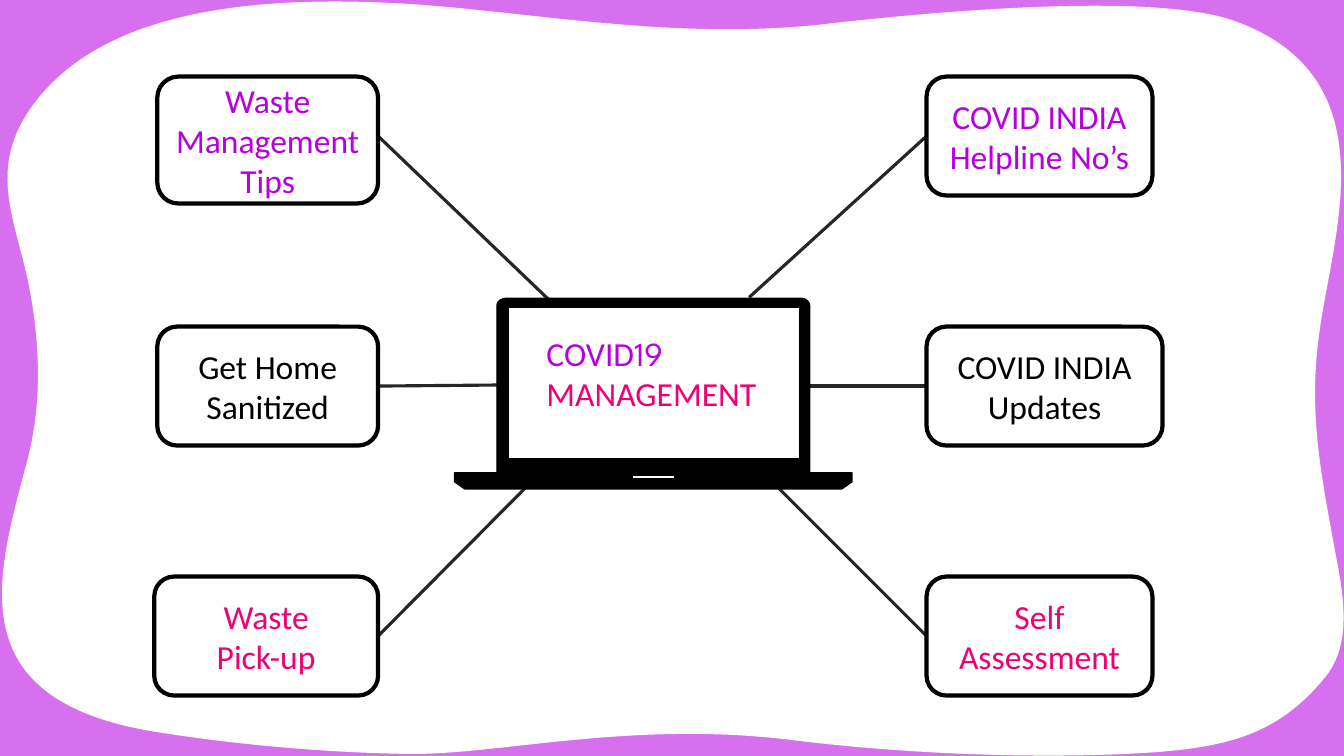
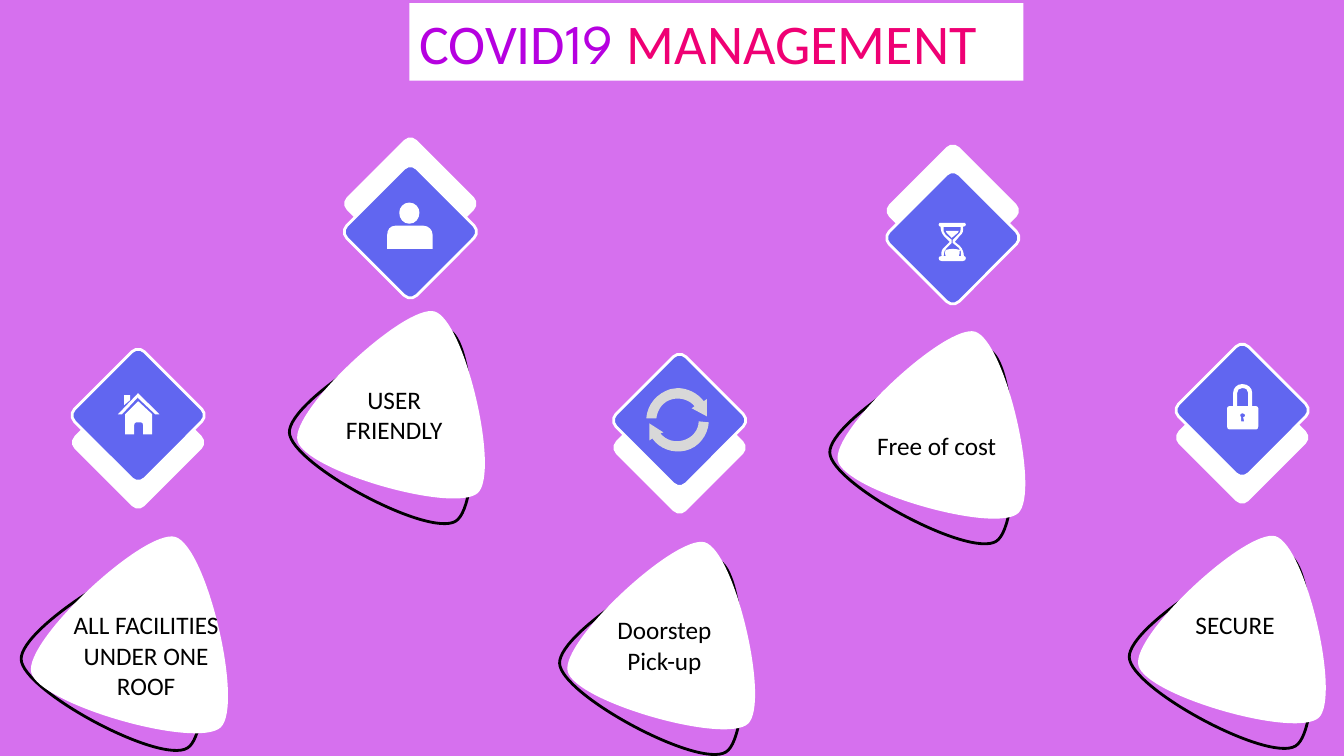
from dataclasses import dataclass
from lxml import etree
from pptx import Presentation
from pptx.dml.color import RGBColor
from pptx.enum import shapes, text
from pptx.oxml import ns
from pptx.util import Inches, Pt


@dataclass
class Theme:
    back: str = "D670EE"
    white: str = "FFFFFF"
    black: str = "000000"
    wire: str = "262626"
    violet: str = "B600E0"
    pink: str = "EF0074"
    blue: str = "6166F0"
    grey: str = "D8D8D8"
    body: str = "Calibri"
    digit: str = "League Spartan"
    head: int = 40
    node: int = 24
    note: int = 18


T = Theme()
LEFT, MID = text.PP_ALIGN.LEFT, text.PP_ALIGN.CENTER
TOP, CORE = text.MSO_ANCHOR.TOP, text.MSO_ANCHOR.MIDDLE
BOX = shapes.MSO_SHAPE.ROUNDED_RECTANGLE


def write(shape, lines, size, align, anchor, pad=0.1):
    frame = shape.text_frame
    look = dict(word_wrap=True, auto_size=text.MSO_AUTO_SIZE.NONE, vertical_anchor=anchor,
                margin_left=Inches(pad), margin_right=Inches(pad),
                margin_top=Inches(pad / 2), margin_bottom=Inches(pad / 2))
    for key, val in look.items():
        setattr(frame, key, val)
    for i, line in enumerate(lines):
        para = frame.add_paragraph() if i else frame.paragraphs[0]
        para.alignment = align
        for words, tint, face in line:
            run = para.add_run()
            run.text = words
            for key, val in dict(name=face, size=Pt(size), bold=False).items():
                setattr(run.font, key, val)
            run.font.color.rgb = RGBColor.from_string(tint)


def draw(slide, form, fill=None, edge=None, width=1, x=0, y=0, grow=1, turn=0):
    if isinstance(form, list):
        loops = [[[(Inches(x + a * grow), Inches(y + b * grow))
                   for a, b in zip(seg[::2], seg[1::2])] for seg in loop] for loop in form]
        pen = slide.shapes.build_freeform(*loops[0][0][0], scale=1.0)
        for i, loop in enumerate(loops):
            if i:
                pen.move_to(*loop[0][0])
            pen.add_line_segments([seg[-1] for seg in loop[1:]], close=True)
        shape = pen.convert_to_shape()
        segs = [seg for loop in loops for seg in loop[1:]]
        for step, seg in zip(list(shape.element.iter(ns.qn("a:lnTo"))), segs):
            if len(seg) == 3:
                bend = etree.Element(ns.qn("a:cubicBezTo"))
                for a, b in seg:
                    etree.SubElement(bend, ns.qn("a:pt"), x=str(a - shape.left), y=str(b - shape.top))
                step.getparent().replace(step, bend)
    else:
        shape = slide.shapes.add_shape(BOX, *map(Inches, form))
        shape.rotation = turn
    shape.shadow.inherit = False
    for paint, tint in ((shape.fill, fill), (shape.line.fill, edge)):
        if tint:
            paint.solid()
            paint.fore_color.rgb = RGBColor.from_string(tint)
        else:
            paint.background()
    if edge:
        shape.line.width = Pt(width)
    return shape


FRAME = [[
    (7.84, 7.34), (9.29, 7.52, 10.7, 7.52, 11.49, 7.46), (12.25, 7.4, 12.71, 7.25, 13.15, 6.71),
    (13.45, 6.33, 13.29, 5.76, 13.22, 5.35), (13.08, 4.6, 12.98, 4.01, 13.09, 3.27),
    (13.22, 2.32, 13.79, 0.77, 12.25, 0.21), (11.4, -0.1, 9.04, 0.14, 8.17, 0.24),
    (6.99, 0.37, 5.89, 0.22, 4.75, 0.1), (2.73, -0.12, 0.99, 0.04, 0.28, 1.11),
    (-0.11, 1.7, 0.15, 2.18, 0.28, 2.8), (0.41, 3.44, 0.41, 4.04, 0.27, 4.57),
    (-0.03, 5.71, -0.43, 6.94, 1.54, 7.26), (2.35, 7.39, 3.26, 7.47, 4.09, 7.48),
    (4.99, 7.48, 6.27, 7.15, 7.84, 7.34)]]
LAPTOP = [
    [(6.27, 4.72), (6.27, 4.75), (6.69, 4.75), (6.69, 4.72)],
    [(5.04, 3.05), (5.04, 4.55), (7.93, 4.55), (7.93, 3.05)],
    [(5.02, 2.96), (7.95, 2.96), (7.99, 2.96, 8.03, 2.99, 8.03, 3.03), (8.03, 4.69),
     (8.45, 4.69), (8.45, 4.78), (8.35, 4.85), (4.61, 4.85), (4.51, 4.78), (4.51, 4.69),
     (4.93, 4.69), (4.93, 3.03), (4.93, 2.99, 4.97, 2.96, 5.02, 2.96)]]
GLASS = [
    [(9.45, 2.47), (9.47, 2.47, 9.49, 2.47, 9.52, 2.48), (9.52, 2.5, 9.52, 2.52, 9.51, 2.54),
     (9.38, 2.54), (9.37, 2.52, 9.37, 2.5, 9.38, 2.48), (9.41, 2.47, 9.43, 2.47, 9.45, 2.47)],
    [(9.38, 2.29), (9.51, 2.29), (9.51, 2.3, 9.5, 2.3, 9.5, 2.31), (9.44, 2.36), (9.39, 2.31),
     (9.39, 2.3, 9.38, 2.3, 9.38, 2.29)],
    [(9.36, 2.25), (9.35, 2.28, 9.36, 2.31, 9.38, 2.33), (9.44, 2.38), (9.44, 2.41),
     (9.39, 2.46), (9.36, 2.49, 9.36, 2.52, 9.36, 2.54), (9.53, 2.54),
     (9.54, 2.51, 9.53, 2.48, 9.51, 2.46), (9.45, 2.41), (9.45, 2.38), (9.5, 2.33),
     (9.53, 2.31, 9.53, 2.28, 9.53, 2.25)],
    [(9.34, 2.21), (9.55, 2.21), (9.57, 2.21, 9.58, 2.21, 9.58, 2.23),
     (9.58, 2.24, 9.57, 2.25, 9.55, 2.25), (9.56, 2.28, 9.55, 2.32, 9.52, 2.34), (9.47, 2.4),
     (9.52, 2.44), (9.55, 2.47, 9.56, 2.51, 9.56, 2.54), (9.57, 2.54, 9.58, 2.55, 9.58, 2.56),
     (9.58, 2.58, 9.57, 2.59, 9.55, 2.59), (9.34, 2.59), (9.32, 2.59, 9.31, 2.58, 9.31, 2.56),
     (9.31, 2.55, 9.32, 2.54, 9.34, 2.54), (9.33, 2.51, 9.34, 2.47, 9.37, 2.45), (9.42, 2.4),
     (9.37, 2.35), (9.34, 2.32, 9.33, 2.28, 9.33, 2.25), (9.32, 2.25, 9.31, 2.24, 9.31, 2.23),
     (9.31, 2.21, 9.32, 2.21, 9.34, 2.21)]]
HOUSE = [
    [(1.37, 3.98), (1.51, 4.11), (1.51, 4.31), (1.42, 4.31), (1.42, 4.22),
     (1.42, 4.2, 1.41, 4.19, 1.4, 4.19), (1.35, 4.19), (1.34, 4.19, 1.33, 4.2, 1.33, 4.22),
     (1.33, 4.31), (1.24, 4.31), (1.24, 4.11)],
    [(1.23, 3.92), (1.29, 3.92), (1.29, 3.97), (1.23, 4.02)],
    [(1.37, 3.9), (1.58, 4.11), (1.54, 4.11), (1.37, 3.95)],
    [(1.37, 3.9), (1.37, 3.94), (1.21, 4.11), (1.17, 4.11)]]
LOCK = [
    [(12.32, 4.1), (12.31, 4.1, 12.3, 4.11, 12.3, 4.12), (12.3, 4.13, 12.31, 4.14, 12.31, 4.14),
     (12.31, 4.18), (12.34, 4.18), (12.33, 4.14), (12.34, 4.14, 12.35, 4.13, 12.35, 4.12),
     (12.35, 4.11, 12.34, 4.1, 12.32, 4.1)],
    [(12.32, 3.85), (12.29, 3.85, 12.27, 3.87, 12.27, 3.9), (12.27, 4.03), (12.38, 4.03),
     (12.38, 3.9), (12.38, 3.87, 12.36, 3.85, 12.32, 3.85)],
    [(12.32, 3.81), (12.38, 3.81, 12.42, 3.85, 12.42, 3.9), (12.42, 4.03), (12.46, 4.03),
     (12.47, 4.03, 12.48, 4.04, 12.48, 4.05), (12.48, 4.23),
     (12.48, 4.25, 12.47, 4.26, 12.46, 4.26), (12.19, 4.26),
     (12.18, 4.26, 12.17, 4.25, 12.17, 4.23), (12.17, 4.05),
     (12.17, 4.04, 12.18, 4.03, 12.19, 4.03), (12.23, 4.03), (12.23, 3.9),
     (12.23, 3.85, 12.27, 3.81, 12.32, 3.81)]]
USER = [
    [(3.92, 2.24), (4.2, 2.24), (4.25, 2.24, 4.29, 2.28, 4.29, 2.33), (4.29, 2.47),
     (3.84, 2.47), (3.84, 2.33), (3.84, 2.28, 3.87, 2.24, 3.92, 2.24)],
    [(4.06, 2.01), (4.12, 2.01, 4.16, 2.06, 4.16, 2.11), (4.16, 2.17, 4.12, 2.22, 4.06, 2.22),
     (4, 2.22, 3.96, 2.17, 3.96, 2.11), (3.96, 2.06, 4, 2.01, 4.06, 2.01)]]
CYCLE = [
    [(6.93, 4.18), (7.03, 4.19), (7.02, 4.32, 6.93, 4.44, 6.8, 4.47),
     (6.67, 4.5, 6.54, 4.45, 6.47, 4.35), (6.44, 4.37), (6.44, 4.2), (6.58, 4.29), (6.55, 4.3),
     (6.61, 4.37, 6.69, 4.39, 6.77, 4.37), (6.86, 4.35, 6.93, 4.27, 6.93, 4.18)],
    [(6.72, 3.85), (6.82, 3.85, 6.92, 3.9, 6.98, 3.98), (7.01, 3.96), (7.01, 4.13),
     (6.86, 4.05), (6.89, 4.03), (6.84, 3.97, 6.75, 3.94, 6.67, 3.96),
     (6.58, 3.98, 6.52, 4.06, 6.51, 4.15), (6.41, 4.15), (6.42, 4.01, 6.52, 3.9, 6.65, 3.86),
     (6.67, 3.86, 6.7, 3.85, 6.72, 3.85)]]
RING = [[(0, 0), (0.01, 0.31, 1.38, 1.05, 1.65, 0.88), (1.91, 0.72, 1.86, -0.86, 1.59, -1.01),
         (1.32, -1.15, -0.01, -0.32, 0, 0)]]
PEBBLE = [[(0, 0), (0.07, 0.3, 1.56, 0.73, 1.79, 0.52), (2.01, 0.31, 1.66, -1.19, 1.36, -1.28),
           (1.07, -1.36, -0.07, -0.3, 0, 0)]]

deck = Presentation()
deck.slide_width, deck.slide_height = Inches(13.33), Inches(7.5)
base = deck.slide_master.background.fill
base.solid()
base.fore_color.rgb = RGBColor.from_string(T.back)
hub, perks = [deck.slides.add_slide(deck.slide_layouts[5]) for _ in range(2)]
name = [("COVID", T.violet, T.body), ("19", T.violet, T.digit)]
last = ("MANAGEMENT", T.pink, T.body)

draw(hub, FRAME, T.white)
wires = [(3.75, 1.35, 5.44, 2.97), (3.75, 3.83, 4.93, 3.82), (3.75, 6.31, 5.41, 4.64),
         (9.19, 6.31, 7.53, 4.65), (8, 3.83, 9.19, 3.83), (9.19, 1.35, 7.43, 2.95)]
for ends in wires:
    wire = hub.shapes.add_connector(shapes.MSO_CONNECTOR.STRAIGHT, *map(Inches, ends))
    wire.line.width = Pt(2.25)
    wire.line.color.rgb = RGBColor.from_string(T.wire)
    etree.SubElement(wire.element.spPr, ns.qn("a:effectLst"))

nodes = [(1.56, 2.19, 1.26, ["Waste", "Management", "Tips"]),
         (9.19, 2.24, 1.18, ["COVID INDIA", "Helpline No’s"]),
         (1.56, 2.19, 1.18, ["Get Home", "Sanitized"]),
         (9.19, 2.34, 1.18, ["COVID INDIA", "Updates"]),
         (1.53, 2.22, 1.18, ["Waste", "Pick-up"]),
         (9.19, 2.24, 1.18, ["Self", "Assessment"])]
tints = [T.violet, T.black, T.pink]
for i, (x, w, h, lines) in enumerate(nodes):
    row = i // 2
    node = draw(hub, (x, 0.76 + 2.48 * row, w, h), edge=T.black, width=3)
    write(node, [[(line, tints[row], T.body)] for line in lines], T.node, MID, CORE, 0)
draw(hub, LAPTOP, T.black, T.black)

heads = [(hub, (5.32, 3.25, 2.37, 0.91), [name, [last]], T.node),
         (perks, (4.06, 0.03, 6.09, 0.77), [name + [(" ", T.violet, T.digit), last]], T.head)]
for slide, spot, lines, size in heads:
    title = slide.shapes.title
    for key, val in zip(("left", "top", "width", "height"), spot):
        setattr(title, key, Inches(val))
    write(title, lines, size, LEFT, TOP)
    title.element.getparent().append(title.element)
title.fill.solid()
title.fill.fore_color.rgb = RGBColor.from_string(T.white)

gems = [(0.88, 3.63, 0.27, HOUSE, T.white), (3.58, 1.81, -0.28, USER, T.white),
        (8.96, 1.87, -0.27, GLASS, T.white), (11.83, 3.58, 0.27, LOCK, T.white),
        (6.25, 3.68, 0.27, CYCLE, T.grey)]
for x, y, drop, icon, tint in gems:
    for dy, fill, edge in ((drop, T.white, None), (0, T.blue, T.white)):
        gem = draw(perks, (x, y + dy, 0.98, 0.98), fill, edge, 2, turn=45)
        gem.adjustments[0] = 0.09
    draw(perks, icon, tint)

notes = [(0.21, 6.54, 0.1, 0.13, 1.05, 1.45, 6, ["ALL FACILITIES", "UNDER ONE", "ROOF"]),
         (2.87, 4.29, 0.08, 0.08, 1, 3.91, 3.76, ["USER", "FRIENDLY"]),
         (5.55, 6.58, 0.08, 0.08, 1, 6.59, 6.05, ["Doorstep", "Pick-up"]),
         (8.23, 4.49, 0.08, 0.08, 1, 9.29, 4.22, ["Free of cost"]),
         (11.2, 6.52, 0.09, 0.08, 1, 12.25, 6, ["SECURE"])]
for x, y, dx, dy, grow, mid, top, lines in notes:
    draw(perks, RING, edge=T.black, width=2, x=x, y=y)
    draw(perks, PEBBLE, T.white, x=x + dx, y=y + dy, grow=grow)
    label = perks.shapes.add_textbox(*map(Inches, (mid - 0.9, top, 1.8, 0.1 + 0.3 * len(lines))))
    write(label, [[(line, T.black, T.body)] for line in lines], T.note, MID, TOP)

deck.save("out.pptx")
